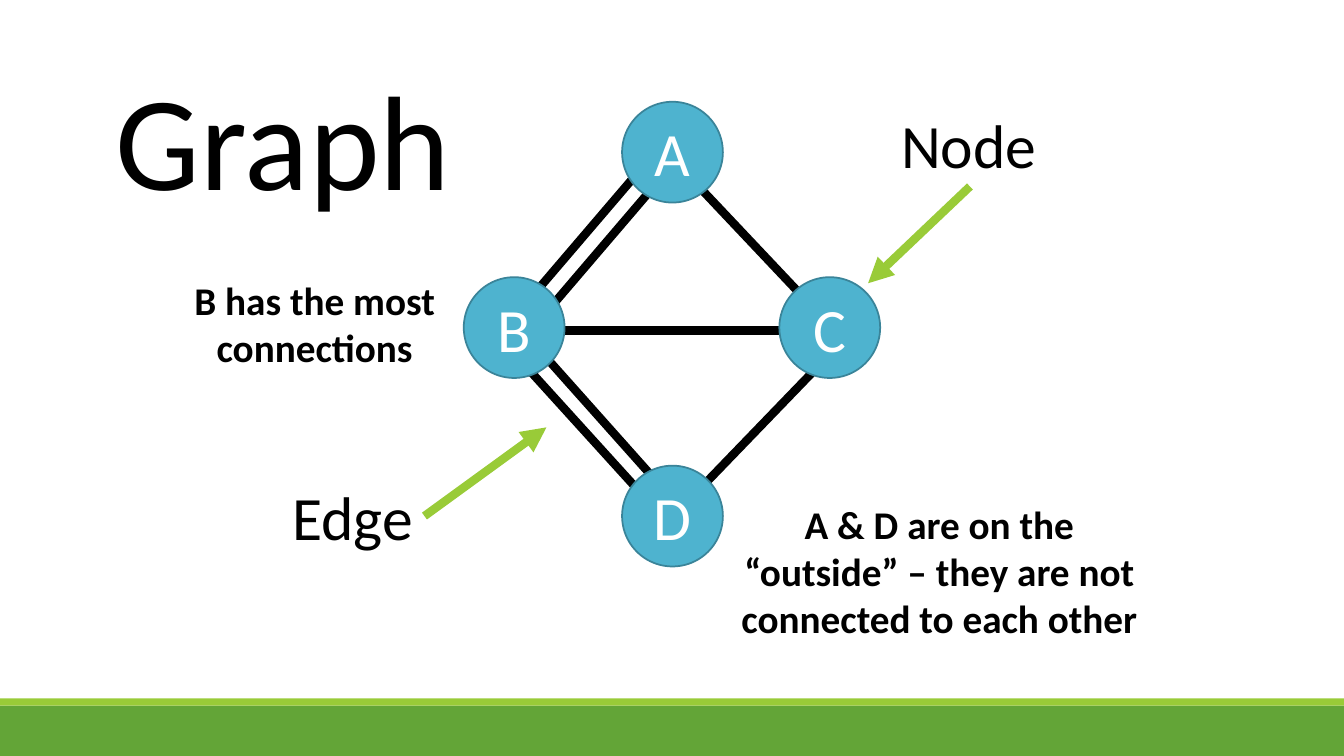
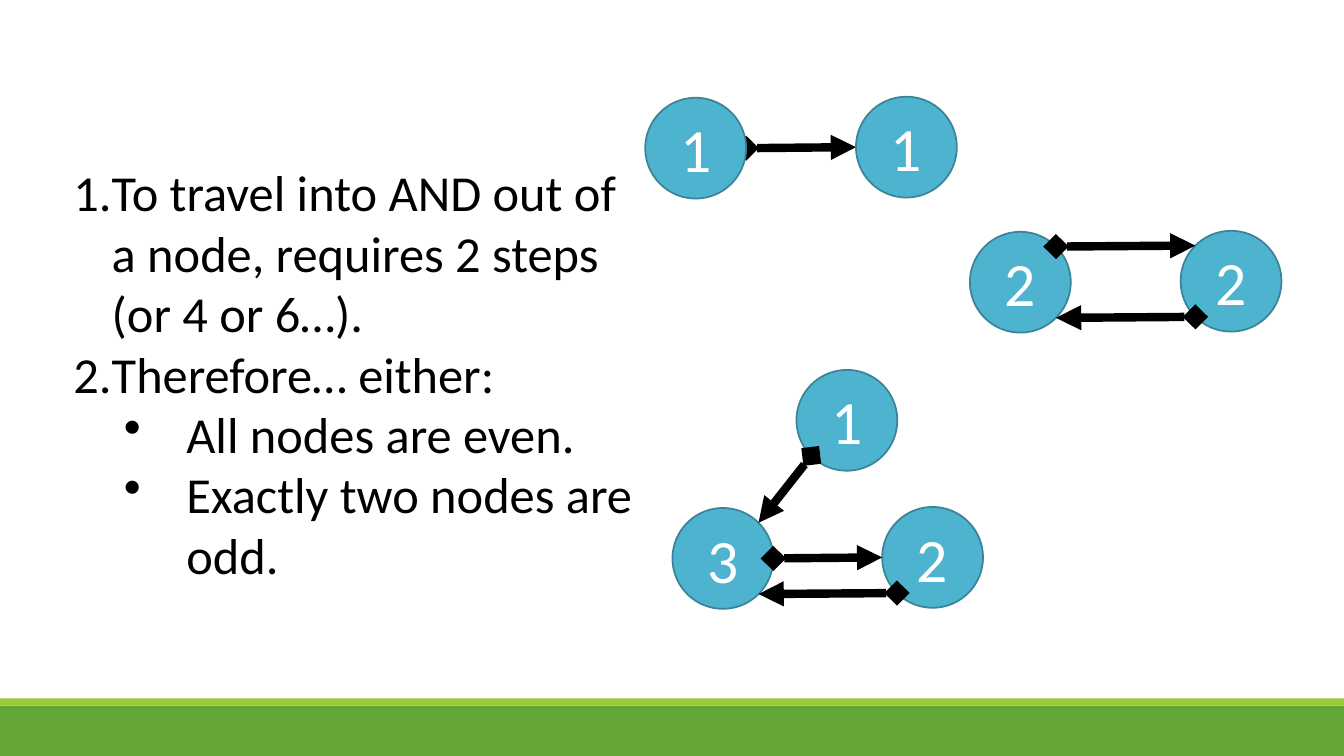
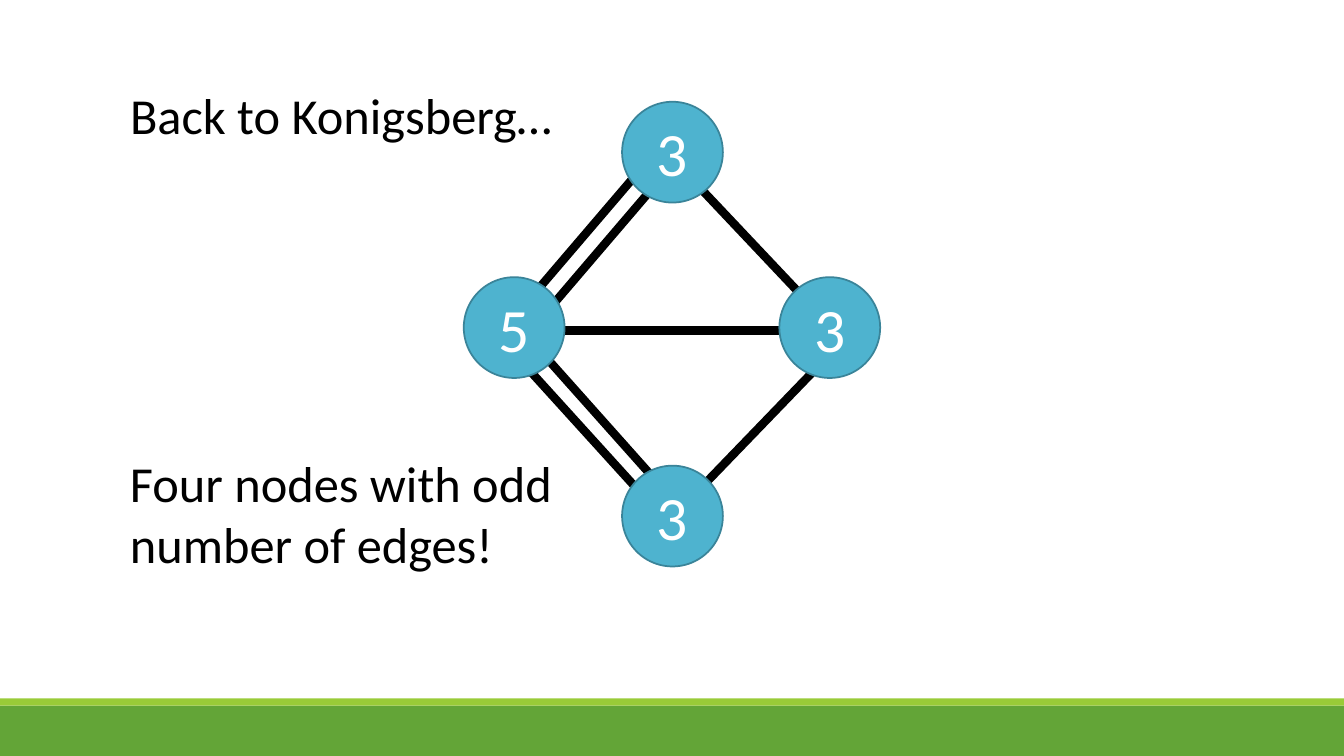
import math

from pptx import Presentation
from pptx import util as u
from pptx.dml import color
from pptx.enum import shapes, text
from pptx.oxml import ns
from lxml import etree

FONT = "Calibri"
COLORS = {
    "band": "63A537",
    "accent": "99CB38",
    "node": "4EB3CF",
    "node_line": "3A8499",
    "ink": "000000",
    "white": "FFFFFF",
}
SLIDE_SIZE = (13.33, 7.5)
BANDS = [((0, 7, 13.33, 0.5), "band"), ((0, 6.93, 13.33, 0.07), "accent")]
NODE_SIZE = 1
EDGE_WIDTH = 6

BRIDGE_NODES = [(6.17, 1.01), (6.17, 4.62), (4.6, 2.75), (7.73, 2.75)]
BRIDGES = [
    ((5.26, 2.96), (6.32, 1.72)),
    ((5.4, 3.12), (6.46, 1.88)),
    ((7.94, 2.92), (6.93, 1.85)),
    ((6.3, 4.83), (5.23, 3.65)),
    ((6.48, 4.74), (5.42, 3.55)),
    ((7.02, 4.77), (8.1, 3.65)),
    ((7.88, 3.28), (5.5, 3.28)),
]

GRAPH_LABELS = [("Node", (8.84, 1.01, 1.56, 0.84)), ("Edge", (2.8, 4.7, 1.41, 0.84))]
GRAPH_POINTERS = [((4.21, 5.12), (5.42, 4.24)), ((9.62, 1.85), (8.61, 2.81))]
GRAPH_REMARKS = [
    ("B has the most connections", (1.68, 2.69, 2.88, 1.04)),
    ("A & D are on the “outside” – they are not connected to each other",
     (7.17, 4.91, 4.29, 1.51)),
]

RULES = [
    ("To travel into AND out of a node, requires 2 steps (or 4 or 6…).", 0),
    ("Therefore… either:", 0),
    ("All nodes are even.", 1),
    ("Exactly two nodes are odd.", 1),
]
LIST_LEVELS = [
    (0.38, -0.38, "buAutoNum", {"type": "arabicPeriod"}),
    (1.12, -0.62, "buChar", {"char": "•"}),
]
STEP_NODES = {
    "one_start": ("1", (6.4, 0.97)),
    "one_end": ("1", (8.49, 0.96)),
    "two_start": ("2", (9.62, 2.3)),
    "two_end": ("2", (11.71, 2.29)),
    "three_entry": ("1", (7.9, 3.67)),
    "three_hub": ("3", (6.67, 5.04)),
    "three_end": ("2", (8.75, 5.03)),
}
SITE_ANGLES = {"right": 0, "lower right": 45, "lower left": 135,
               "left": 180, "upper left": 225, "upper right": 315}
STEPS_BEHIND = [("one_start", "right", "one_end", "left")]
STEPS_IN_FRONT = [
    ("two_start", "upper right", "two_end", "upper left"),
    ("two_end", "lower left", "two_start", "lower right"),
    ("three_hub", "right", "three_end", "left"),
    ("three_end", "lower left", "three_hub", "lower right"),
    ("three_entry", "lower left", "three_hub", "upper right"),
]


def rgb(name):
    return color.RGBColor.from_string(COLORS[name])


def inches(values):
    return [u.Inches(value) for value in values]


def write(frame, content, size=36, ink="ink", bold=False, align="LEFT",
          anchor="TOP", wrap=True, fit="SHAPE_TO_FIT_TEXT"):
    frame.word_wrap = wrap
    frame.auto_size = text.MSO_AUTO_SIZE[fit]
    frame.vertical_anchor = text.MSO_ANCHOR[anchor]
    lines = [content] if isinstance(content, str) else content
    for index, line in enumerate(lines):
        para = frame.paragraphs[0] if index == 0 else frame.add_paragraph()
        para.alignment = text.PP_ALIGN[align]
        span = para.add_run()
        span.text = line
        span.font.name = FONT
        span.font.size = u.Pt(size)
        span.font.bold = bold
        span.font.color.rgb = rgb(ink)


def add_text(slide, content, place, **style):
    box = slide.shapes.add_textbox(*inches(place))
    write(box.text_frame, content, **style)
    return box


def add_title(slide, content, place, **style):
    title = slide.shapes.title
    title.left, title.top, title.width, title.height = inches(place)
    write(title.text_frame, content, **style)


def add_filled(slide, kind, place, fill):
    shape = slide.shapes.add_shape(shapes.MSO_SHAPE[kind], *inches(place))
    shape.shadow.inherit = False
    shape.fill.solid()
    shape.fill.fore_color.rgb = rgb(fill)
    shape.line.fill.background()
    return shape


def add_node(slide, label, corner):
    node = add_filled(slide, "OVAL", (*corner, NODE_SIZE, NODE_SIZE), "node")
    node.line.color.rgb = rgb("node_line")
    node.line.width = u.Pt(1.25)
    write(node.text_frame, label, size=44, ink="white", align="CENTER",
          anchor="MIDDLE", fit="NONE")


def add_line(slide, start, end, ink="ink", head=None, tail=None):
    line = slide.shapes.add_connector(
        shapes.MSO_CONNECTOR.STRAIGHT, *inches((*start, *end)))
    line.line.color.rgb = rgb(ink)
    line.line.width = u.Pt(EDGE_WIDTH)
    for tag, mark in (("a:headEnd", head), ("a:tailEnd", tail)):
        if mark:
            etree.SubElement(line.get_or_add_ln(), ns.qn(tag), type=mark)
    etree.SubElement(line.element.spPr, ns.qn("a:effectLst"))


def add_bridges(slide, labels):
    for start, end in BRIDGES:
        add_line(slide, start, end)
    for label, corner in zip(labels, BRIDGE_NODES):
        add_node(slide, label, corner)


def site(node, side):
    angle = math.radians(SITE_ANGLES[side])
    left, top = STEP_NODES[node][1]
    radius = NODE_SIZE / 2
    return (left + radius * (1 + math.cos(angle)),
            top + radius * (1 + math.sin(angle)))


def add_steps(slide, steps):
    for origin, exit_side, target, entry_side in steps:
        add_line(slide, site(origin, exit_side), site(target, entry_side),
                 head="diamond", tail="triangle")


def add_bands(deck, slide):
    for place, fill in BANDS:
        band = add_filled(slide, "RECTANGLE", place, fill)
        deck.slide_master.shapes.element.append(band.element)


def build_graph(slide):
    add_title(slide, "Graph", (1.05, 0.51, 3.56, 1.72), size=96, wrap=False)
    add_bridges(slide, "ADBC")
    for label, place in GRAPH_LABELS:
        add_text(slide, label, place, size=44, wrap=False)
    for start, end in GRAPH_POINTERS:
        add_line(slide, start, end, ink="accent", tail="triangle")
    for remark, place in GRAPH_REMARKS:
        add_text(slide, remark, place, size=28, bold=True, align="CENTER")


def build_rules(slide):
    box = add_text(slide, [rule for rule, level in RULES], (0.63, 1.55, 5.74, 4.34))
    for para, (rule, level) in zip(box.text_frame.paragraphs, RULES):
        margin, indent, tag, mark = LIST_LEVELS[level]
        para.level = level
        props = para._p.get_or_add_pPr()
        props.set("marL", str(u.Inches(margin)))
        props.set("indent", str(u.Inches(indent)))
        etree.SubElement(props, ns.qn("a:" + tag), **mark)
    add_steps(slide, STEPS_BEHIND)
    for label, corner in STEP_NODES.values():
        add_node(slide, label, corner)
    add_steps(slide, STEPS_IN_FRONT)


def build_konigsberg(slide):
    add_title(slide, "Back to Konigsberg…", (1.19, 0.78, 4.8, 0.71))
    add_bridges(slide, "3353")
    add_text(slide, "Four nodes with odd number of edges!", (1.19, 4.44, 4.8, 1.31))


def main():
    deck = Presentation()
    deck.slide_width, deck.slide_height = inches(SLIDE_SIZE)
    title_only, blank = deck.slide_layouts[5], deck.slide_layouts[6]
    pages = [(title_only, build_graph), (blank, build_rules),
             (title_only, build_konigsberg)]
    for index, (layout, build) in enumerate(pages):
        slide = deck.slides.add_slide(layout)
        if index == 0:
            add_bands(deck, slide)
        build(slide)
    deck.save("out.pptx")


if __name__ == "__main__":
    main()
